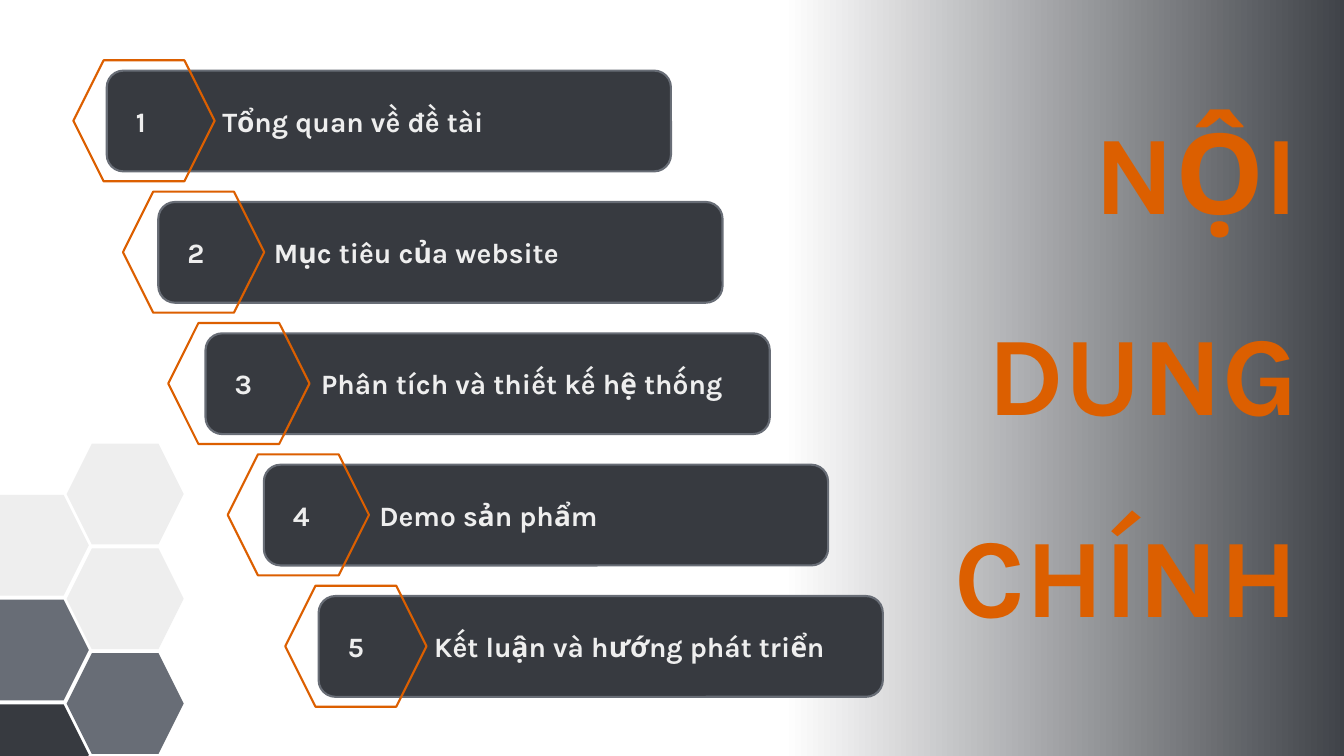
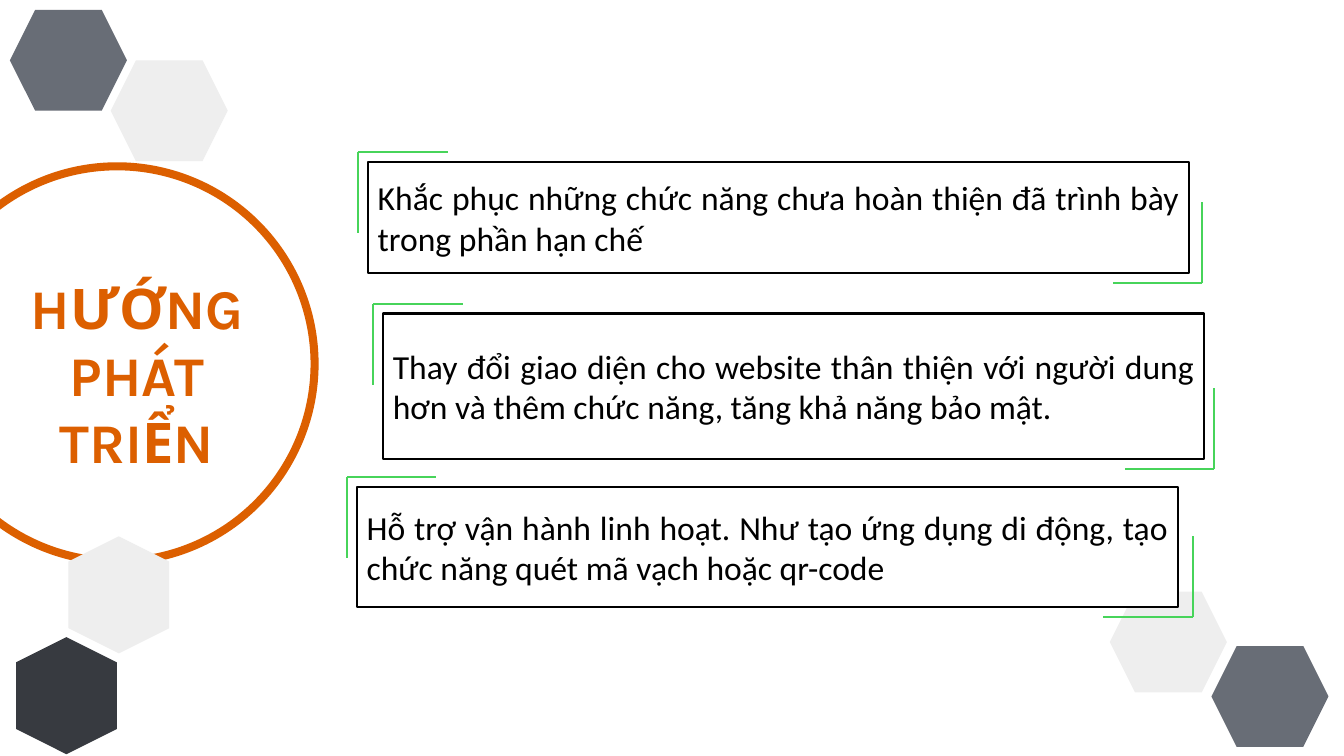
"""Builds two slides: a stepped agenda and the future directions of a web project."""
from dataclasses import dataclass
from typing import Optional

from lxml import etree
from pptx import Presentation
from pptx.dml.color import RGBColor
from pptx.enum.shapes import MSO_CONNECTOR, MSO_SHAPE
from pptx.enum.text import MSO_ANCHOR, PP_ALIGN
from pptx.oxml.ns import qn
from pptx.shapes.autoshape import Shape
from pptx.slide import Slide
from pptx.text.text import TextFrame
from pptx.util import Cm, Pt

HEXAGON = MSO_SHAPE.HEXAGON
ROUNDED = MSO_SHAPE.ROUNDED_RECTANGLE
RECTANGLE = MSO_SHAPE.RECTANGLE
DONUT = MSO_SHAPE.DONUT
STRAIGHT = MSO_CONNECTOR.STRAIGHT
MIDDLE = MSO_ANCHOR.MIDDLE
LEFT, CENTER, RIGHT, JUSTIFY = (
    PP_ALIGN.LEFT, PP_ALIGN.CENTER, PP_ALIGN.RIGHT, PP_ALIGN.JUSTIFY)


@dataclass(frozen=True)
class Theme:
    dark: RGBColor = RGBColor(0x37, 0x3A, 0x40)
    gray: RGBColor = RGBColor(0x68, 0x6D, 0x76)
    light: RGBColor = RGBColor(0xEE, 0xEE, 0xEE)
    accent: RGBColor = RGBColor(0xDC, 0x5F, 0x00)
    green: RGBColor = RGBColor(0x47, 0xD4, 0x5A)
    white: RGBColor = RGBColor(0xFF, 0xFF, 0xFF)
    black: RGBColor = RGBColor(0x00, 0x00, 0x00)
    heading_font: str = "Karla"
    body_font: str = "Calibri"
    agenda_title_size: int = 80
    directions_title_size: int = 40
    step_size: int = 20
    body_size: int = 24
    outline: float = 1.5


@dataclass(frozen=True)
class Box:
    left: float
    top: float
    width: float
    height: float


@dataclass(frozen=True)
class TextStyle:
    font: str
    size: int
    color: RGBColor
    bold: bool
    align: PP_ALIGN
    spacing: float = 1.0


@dataclass(frozen=True)
class Step:
    label: str
    card_left: float
    hexagon_left: float


@dataclass(frozen=True)
class Cell:
    left: float
    top: float
    color: RGBColor
    rotation: int = 0


@dataclass(frozen=True)
class Direction:
    message: str
    left: float
    top: float
    height: float
    right_gap: float


THEME = Theme()
AGENDA_TITLE = TextStyle(THEME.heading_font, THEME.agenda_title_size, THEME.accent, True, RIGHT, 1.5)
DIRECTIONS_TITLE = TextStyle(THEME.heading_font, THEME.directions_title_size, THEME.accent, True, CENTER)
STEP_TEXT = TextStyle(THEME.heading_font, THEME.step_size, THEME.light, True, LEFT)
BODY_TEXT = TextStyle(THEME.body_font, THEME.body_size, THEME.black, False, JUSTIFY)

STEP_TOP, STEP_PITCH = 1.78, 3.31
STEP_TAB = Cm(2.18)
STEPS = (
    Step("Tổng quan về đề tài", 2.69, 1.85),
    Step("Mục tiêu của website", 3.99, 3.1),
    Step("Phân tích và thiết kế hệ thống", 5.18, 4.24),
    Step("Demo sản phẩm", 6.65, 5.74),
    Step("Kết luận và hướng phát triển", 8.03, 7.19),
)

COMB_PITCH = 2.64
COMB_COLUMNS = (
    (-0.71, 12.47, (THEME.light, THEME.gray, THEME.dark)),
    (1.68, 11.18, (THEME.light, THEME.light, THEME.gray)),
)
AGENDA_CELLS = tuple(
    Cell(left, top + row * COMB_PITCH, color)
    for left, top, colors in COMB_COLUMNS
    for row, color in enumerate(colors)
)
DIRECTION_CELLS = (
    Cell(2.79, 1.52, THEME.light),
    Cell(0.2, 16.26, THEME.dark, 270),
    Cell(0.25, 0.25, THEME.gray),
    Cell(1.52, 13.72, THEME.light, 90),
    Cell(27.97, 14.91, THEME.light),
    Cell(30.53, 16.28, THEME.gray),
)

PANEL_WIDTH = 20.7
BRACKET_GAP = 0.25
BRACKET_WIDTH, BRACKET_HEIGHT = 2.26, 2.04
DIRECTIONS = (
    Direction("Khắc phục những chức năng chưa hoàn thiện đã trình bày trong phần hạn chế",
              9.27, 4.09, 2.79, 0.33),
    Direction("Thay đổi giao diện cho website thân thiện với người dung hơn và thêm chức năng, "
              "tăng khả năng bảo mật.", 9.65, 7.9, 3.66, 0.25),
    Direction("Hỗ trợ vận hành linh hoạt. Như tạo ứng dụng di động, tạo chức năng quét mã vạch "
              "hoặc qr-code", 8.99, 12.27, 3.02, 0.38),
)


def write(frame: TextFrame, text: str, style: TextStyle) -> None:
    """Fill a frame with text and apply one style to every paragraph."""
    frame.word_wrap = True
    frame.text = text
    for paragraph in frame.paragraphs:
        paragraph.alignment = style.align
        paragraph.line_spacing = style.spacing
        for run in paragraph.runs:
            run.font.name = style.font
            run.font.size = Pt(style.size)
            run.font.bold = style.bold
            run.font.color.rgb = style.color


def draw(slide: Slide, kind: MSO_SHAPE, box: Box, fill: Optional[RGBColor] = None,
         line: Optional[RGBColor] = None) -> Shape:
    """Add a flat preset shape with an optional fill and outline."""
    shape = slide.shapes.add_shape(kind, Cm(box.left), Cm(box.top), Cm(box.width), Cm(box.height))
    shape.shadow.inherit = False
    if fill is None:
        shape.fill.background()
    else:
        shape.fill.solid()
        shape.fill.fore_color.rgb = fill
    if line is None:
        shape.line.fill.background()
    else:
        shape.line.color.rgb = line
        shape.line.width = Pt(THEME.outline)
    return shape


def draw_title(slide: Slide, text: str, box: Box, style: TextStyle) -> None:
    """Add a heading text box."""
    title = slide.shapes.add_textbox(Cm(box.left), Cm(box.top), Cm(box.width), Cm(box.height))
    write(title.text_frame, text, style)


def draw_cell(slide: Slide, cell: Cell) -> None:
    """Add one decorative honeycomb cell."""
    hexagon = draw(slide, HEXAGON, Box(cell.left, cell.top, 2.95, 2.54), cell.color)
    hexagon.rotation = cell.rotation


def draw_step(slide: Slide, index: int, step: Step) -> None:
    """Add a numbered agenda card with its outlined hexagon."""
    top = STEP_TOP + index * STEP_PITCH
    card = draw(slide, ROUNDED, Box(step.card_left, top, 14.22, 2.54), THEME.dark, THEME.gray)
    frame = card.text_frame
    frame.vertical_anchor = MIDDLE
    frame.margin_left = Cm(0.61)
    write(frame, f"{index + 1}\t{step.label}", STEP_TEXT)
    properties = frame.paragraphs[0]._p.get_or_add_pPr()
    tabs = etree.SubElement(properties, qn("a:tabLst"))
    etree.SubElement(tabs, qn("a:tab"), pos=str(STEP_TAB), algn="l")
    draw(slide, HEXAGON, Box(step.hexagon_left, top - 0.26, 3.56, 3.05), line=THEME.accent)


def draw_bracket(slide: Slide, x: float, y: float, direction: int) -> None:
    """Add two lines that leave a corner, inward along both axes."""
    ends = ((x + direction * BRACKET_WIDTH, y), (x, y + direction * BRACKET_HEIGHT))
    for end_x, end_y in ends:
        arm = slide.shapes.add_connector(STRAIGHT, Cm(x), Cm(y), Cm(end_x), Cm(end_y))
        arm.line.color.rgb = THEME.green
        arm.line.width = Pt(THEME.outline)
        etree.SubElement(arm._element.spPr, qn("a:effectLst"))


def draw_direction(slide: Slide, item: Direction) -> None:
    """Add a framed message between two corner brackets."""
    panel = draw(slide, RECTANGLE, Box(item.left, item.top, PANEL_WIDTH, item.height),
                 THEME.white, THEME.black)
    panel.text_frame.vertical_anchor = MIDDLE
    write(panel.text_frame, item.message, BODY_TEXT)
    draw_bracket(slide, item.left - BRACKET_GAP, item.top - BRACKET_GAP, 1)
    draw_bracket(slide, item.left + PANEL_WIDTH + item.right_gap,
                 item.top + item.height + BRACKET_GAP, -1)


def build_agenda(slide: Slide) -> None:
    """Compose the agenda slide."""
    fade = draw(slide, RECTANGLE, Box(19.74, -0.48, 14.78, 20.62))
    fade.fill.gradient()
    fade.fill.gradient_angle = 0
    for stop, color in zip(fade.fill.gradient_stops, (THEME.white, THEME.dark)):
        stop.color.rgb = color
    for index, step in enumerate(STEPS):
        draw_step(slide, index, step)
    draw_title(slide, "NỘI\nDUNG\nCHÍNH", Box(22.63, 0.76, 10.34, 14.96), AGENDA_TITLE)
    for cell in AGENDA_CELLS:
        draw_cell(slide, cell)


def build_directions(slide: Slide) -> None:
    """Compose the future directions slide."""
    ring = draw(slide, DONUT, Box(-2.13, 4.09, 10.16, 10.16), THEME.accent)
    ring.adjustments[0] = 0.02
    for cell in DIRECTION_CELLS:
        draw_cell(slide, cell)
    draw_title(slide, "HƯỚNG PHÁT TRIỂN", Box(0.23, 6.76, 6.45, 5.38), DIRECTIONS_TITLE)
    for item in DIRECTIONS:
        draw_direction(slide, item)


def main() -> None:
    """Build and save the presentation."""
    deck = Presentation()
    deck.slide_width, deck.slide_height = Cm(33.87), Cm(19.05)
    blank = deck.slide_layouts[6]
    for build in (build_agenda, build_directions):
        build(deck.slides.add_slide(blank))
    deck.save("out.pptx")


if __name__ == "__main__":
    main()
